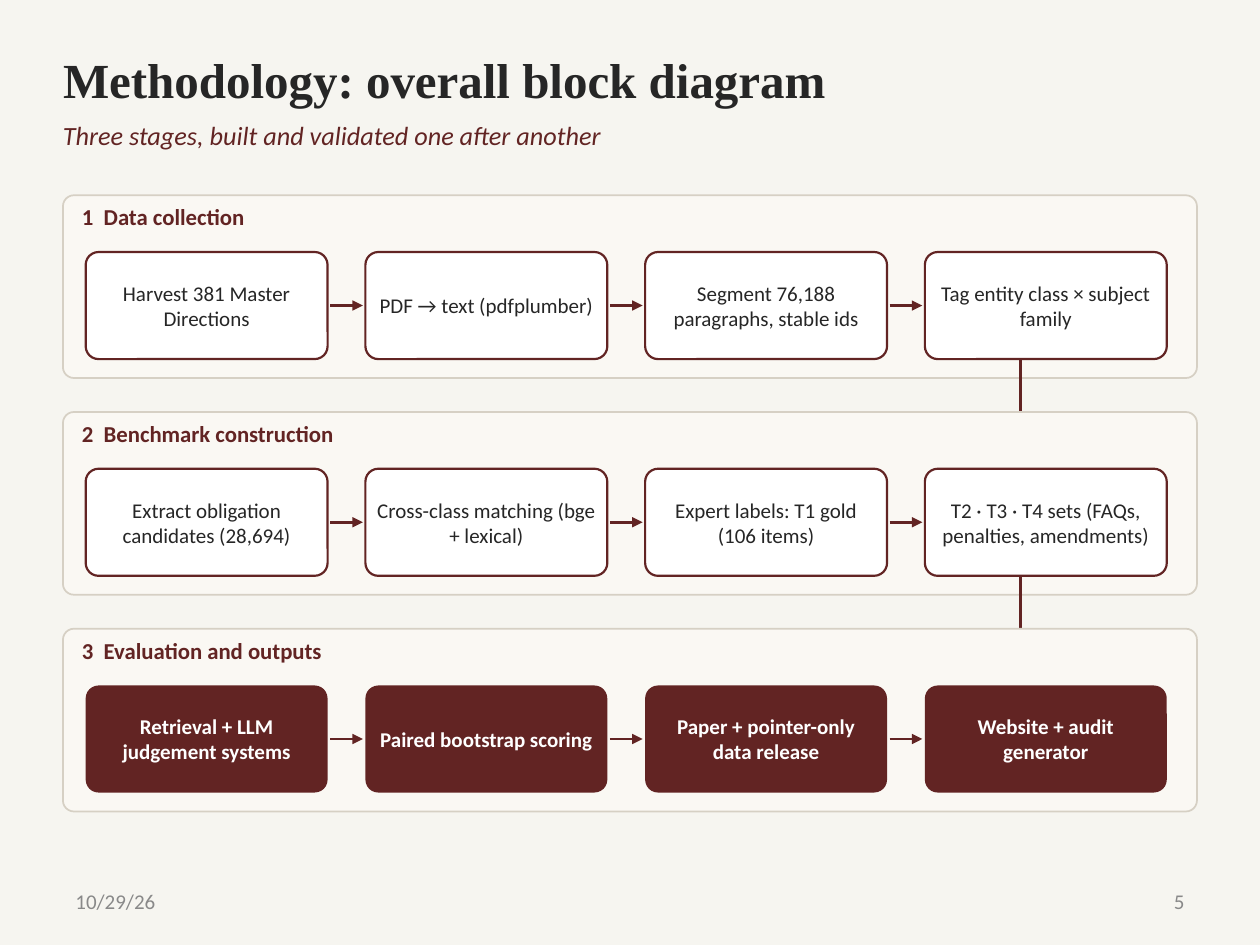
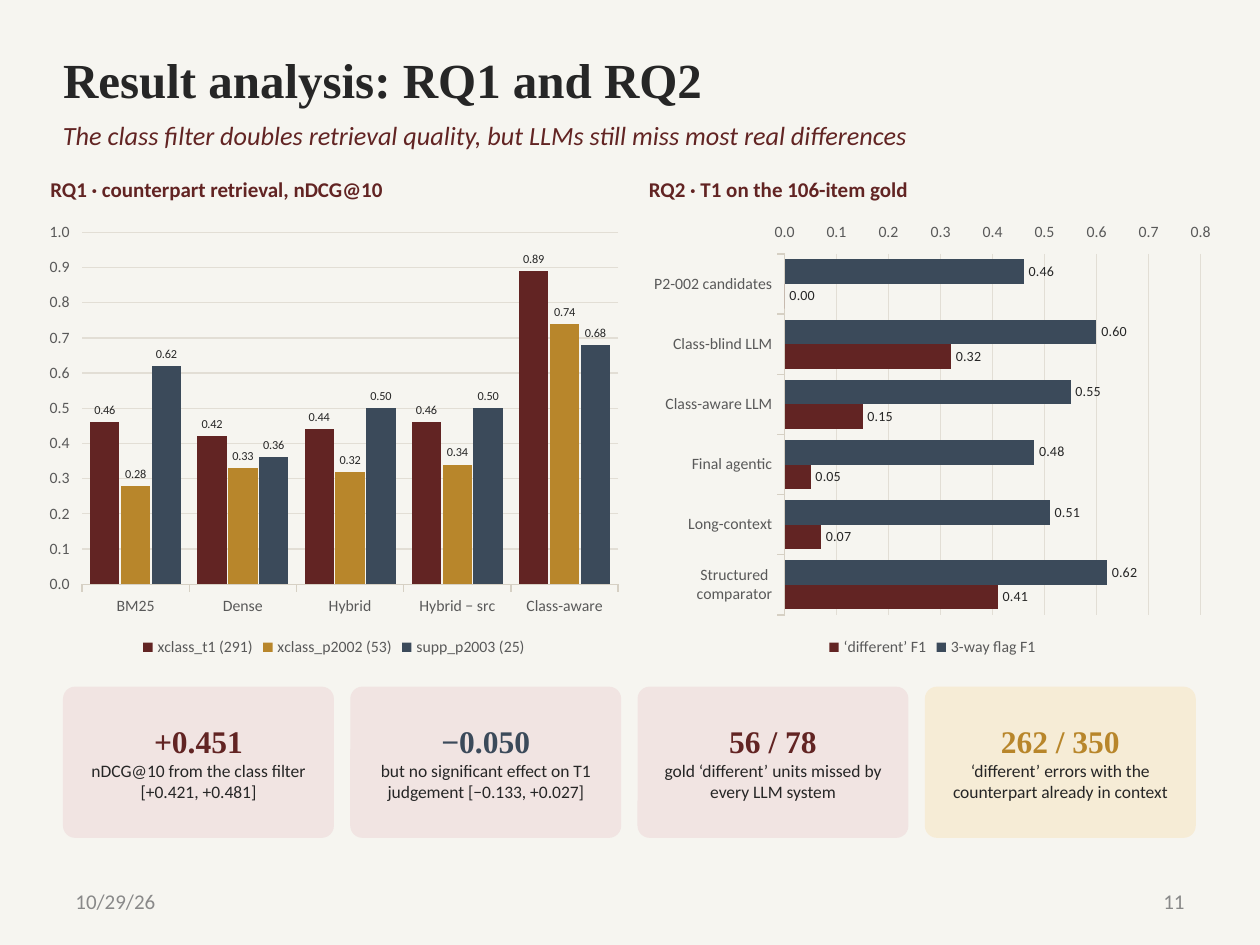
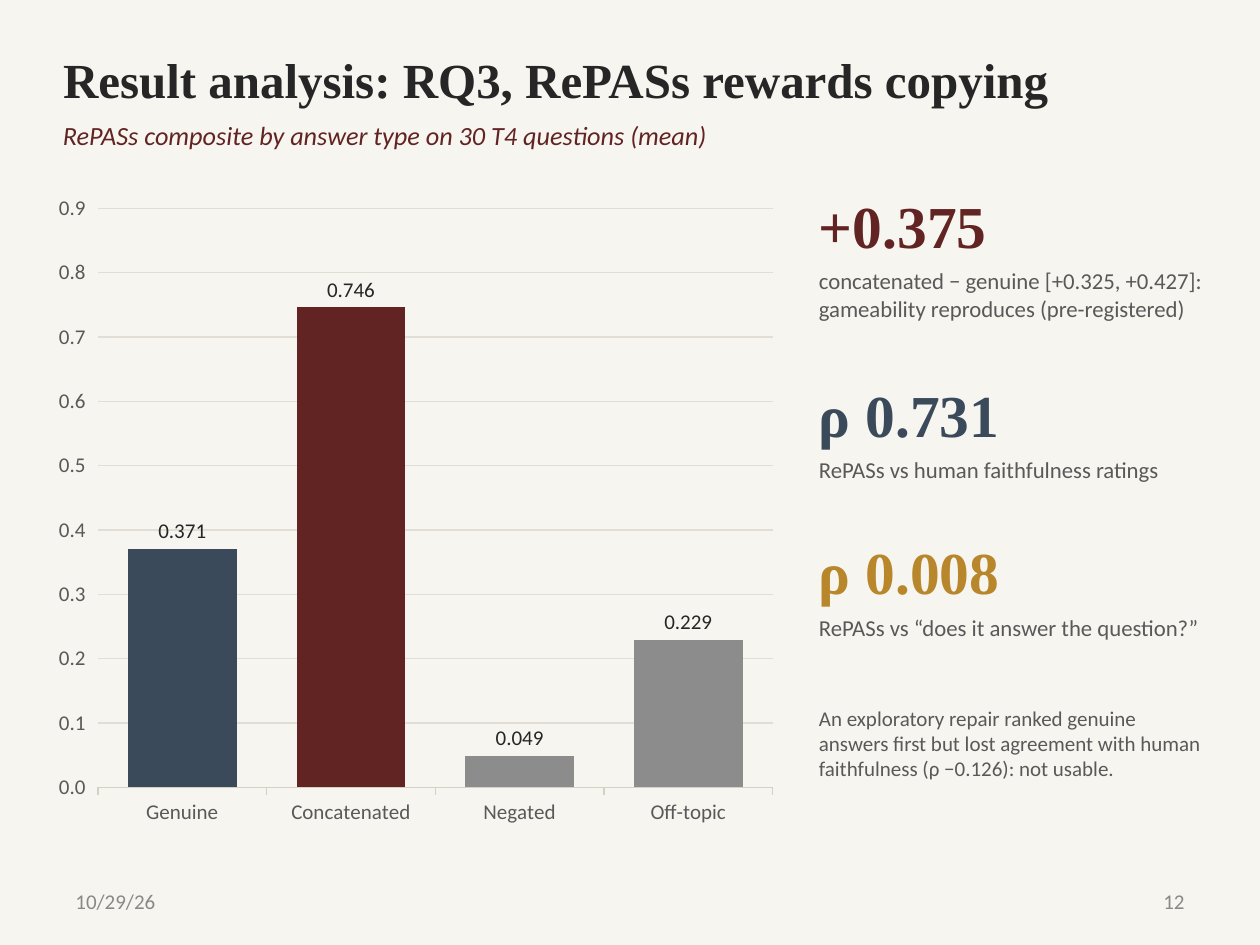
from dataclasses import dataclass
from typing import Any, Optional

from lxml.etree import SubElement
from pptx import Presentation
from pptx.chart.data import CategoryChartData
from pptx.dml.color import RGBColor
from pptx.enum.chart import (XL_CHART_TYPE as ChartType, XL_LABEL_POSITION as LabelPosition,
                             XL_LEGEND_POSITION as LegendPosition,
                             XL_TICK_LABEL_POSITION as TickLabels, XL_TICK_MARK as TickMark)
from pptx.enum.shapes import MSO_CONNECTOR as Connector, MSO_SHAPE as Preset
from pptx.enum.text import MSO_ANCHOR as Anchor, MSO_AUTO_SIZE as AutoSize, PP_ALIGN as Align
from pptx.oxml.ns import qn
from pptx.util import Pt

SANS, SERIF = "Calibri", "Times New Roman"
PAPER, PANEL, WHITE = "F6F5F0", "FAF8F3", "FFFFFF"
INK, TEXT_GRAY, FOOTER_GRAY, BAR_GRAY = "262626", "595959", "898989", "8C8C8C"
MAROON, SLATE, GOLD = "622423", "3B4A5A", "B8862B"
ROSE, CREAM = "F1E4E2", "F6ECD6"
EDGE, GRID = "D6D0C4", "E2DED5"

MARGIN, CONTENT_WIDTH = 36, 648
DATE = "10/29/26"


@dataclass(frozen=True)
class Area:
    left: float
    top: float
    width: float
    height: float

    def lengths(self) -> tuple:
        return Pt(self.left), Pt(self.top), Pt(self.width), Pt(self.height)


@dataclass(frozen=True)
class Stage:
    name: str
    steps: tuple[str, ...]
    solid: bool = False


@dataclass(frozen=True)
class Finding:
    figure: str
    caption: str
    color: str
    fill: str = ROSE


@dataclass(frozen=True)
class Series:
    name: str
    values: tuple[float, ...]
    color: str


@dataclass(frozen=True)
class ChartSpec:
    kind: Any
    categories: tuple[str, ...]
    series: tuple[Series, ...]
    maximum: float
    gap: int
    overlap: int = 0
    size: float = 9
    label_size: float = 7
    label_format: str = "0.00"
    legend: bool = True
    top_down: bool = False
    point_colors: tuple[str, ...] = ()


STAGES = (
    Stage("Data collection", (
        "Harvest 381 Master Directions", "PDF → text (pdfplumber)",
        "Segment 76,188 paragraphs, stable ids", "Tag entity class × subject family")),
    Stage("Benchmark construction", (
        "Extract obligation candidates (28,694)", "Cross-class matching (bge + lexical)",
        "Expert labels: T1 gold (106 items)",
        "T2 · T3 · T4 sets (FAQs, penalties, amendments)")),
    Stage("Evaluation and outputs", (
        "Retrieval + LLM judgement systems", "Paired bootstrap scoring",
        "Paper + pointer-only data release", "Website + audit generator"), solid=True),
)

RETRIEVAL = ChartSpec(
    ChartType.COLUMN_CLUSTERED,
    ("BM25", "Dense", "Hybrid", "Hybrid − src", "Class-aware"),
    (Series("xclass_t1 (291)", (0.46, 0.42, 0.44, 0.46, 0.89), MAROON),
     Series("xclass_p2002 (53)", (0.28, 0.33, 0.32, 0.34, 0.74), GOLD),
     Series("supp_p2003 (25)", (0.62, 0.36, 0.5, 0.5, 0.68), SLATE)),
    maximum=1, gap=55, overlap=-5)

JUDGEMENT = ChartSpec(
    ChartType.BAR_CLUSTERED,
    ("P2-002 candidates", "Class-blind LLM", "Class-aware LLM", "Final agentic",
     "Long-context", "Structured comparator"),
    (Series("3-way flag F1", (0.46, 0.6, 0.55, 0.48, 0.51, 0.62), SLATE),
     Series("‘different’ F1", (0, 0.32, 0.15, 0.05, 0.07, 0.41), MAROON)),
    maximum=0.8, gap=45, label_size=8, top_down=True)

COMPOSITE = ChartSpec(
    ChartType.COLUMN_CLUSTERED,
    ("Genuine", "Concatenated", "Negated", "Off-topic"),
    (Series("Series 1", (0.371, 0.746, 0.049, 0.229), BAR_GRAY),),
    maximum=0.9, gap=55, size=12, label_size=12, label_format="0.000", legend=False,
    point_colors=(SLATE, MAROON, BAR_GRAY, BAR_GRAY))

CARDS = (
    Finding("+0.451", "nDCG@10 from the class filter [+0.421, +0.481]", MAROON),
    Finding("−0.050", "but no significant effect on T1 judgement [−0.133, +0.027]", SLATE),
    Finding("56 / 78", "gold ‘different’ units missed by every LLM system", MAROON),
    Finding("262 / 350", "‘different’ errors with the counterpart already in context",
            GOLD, CREAM),
)

# Each side figure with the top of its text
SIDE_FIGURES = (
    (108, Finding("+0.375", "concatenated − genuine [+0.325, +0.427]: "
                  "gameability reproduces (pre-registered)", MAROON)),
    (216, Finding("ρ 0.731", "RePASs vs human faithfulness ratings", SLATE)),
    (306, Finding("ρ 0.008", "RePASs vs “does it answer the question?”", GOLD)),
)


def rgb(color: str) -> RGBColor:
    return RGBColor.from_string(color)


def paint(fill: Any, color: str) -> None:
    fill.solid()
    fill.fore_color.rgb = rgb(color)


def write(para: Any, text: str, *, size: float, color: str = INK, font: str = SANS,
          bold: bool = False, italic: bool = False, align: Any = Align.LEFT) -> None:
    para.alignment = align
    span = para.add_run()
    span.text = text
    span.font.name, span.font.size = font, Pt(size)
    span.font.bold, span.font.italic = bold, italic
    span.font.color.rgb = rgb(color)


def set_frame(frame: Any, anchor: Any, side: float = 0, ends: float = 0) -> None:
    frame.word_wrap = True
    frame.auto_size = AutoSize.NONE
    frame.vertical_anchor = anchor
    frame.margin_left = frame.margin_right = Pt(side)
    frame.margin_top = frame.margin_bottom = Pt(ends)


def add_text(page: Any, area: Area, text: str, *, anchor: Any = Anchor.TOP, side: float = 0,
             ends: float = 0, **style: Any) -> Any:
    box = page.shapes.add_textbox(*area.lengths())
    set_frame(box.text_frame, anchor, side, ends)
    para = box.text_frame.paragraphs[0]
    write(para, text, **style)
    return para


def add_tab(para: Any, position: float) -> None:
    stops = SubElement(para._p.get_or_add_pPr(), qn("a:tabLst"))
    SubElement(stops, qn("a:tab"), pos=str(Pt(position)), algn="l")


def add_rounded(page: Any, area: Area, radius: float, fill: str,
                edge: Optional[str] = None, weight: float = 1) -> Any:
    box = page.shapes.add_shape(Preset.ROUNDED_RECTANGLE, *area.lengths())
    box.shadow.inherit = False
    box.adjustments[0] = radius
    paint(box.fill, fill)
    if edge:
        box.line.color.rgb = rgb(edge)
        box.line.width = Pt(weight)
    else:
        box.line.fill.background()
    set_frame(box.text_frame, Anchor.MIDDLE, side=4.32, ends=2.16)
    return box


def add_arrow(page: Any, x1: float, y1: float, x2: float, y2: float) -> None:
    arrow = page.shapes.add_connector(Connector.STRAIGHT, Pt(x1), Pt(y1), Pt(x2), Pt(y2))
    arrow.line.color.rgb = rgb(MAROON)
    arrow.line.width = Pt(1.5)
    SubElement(arrow.line._get_or_add_ln(), qn("a:tailEnd"), type="triangle")
    SubElement(arrow._element.spPr, qn("a:effectLst"))


def add_page(deck: Any, title: str, subtitle: str, number: int) -> Any:
    page = deck.slides.add_slide(deck.slide_layouts.get_by_name("Title Only"))
    heading = page.shapes.title
    area = Area(MARGIN, 23, CONTENT_WIDTH, 44.6)
    heading.left, heading.top, heading.width, heading.height = area.lengths()
    set_frame(heading.text_frame, Anchor.MIDDLE, ends=3.6)
    write(heading.text_frame.paragraphs[0], title, size=28, font=SERIF, bold=True)
    add_text(page, Area(MARGIN, 68.4, CONTENT_WIDTH, 30.2), subtitle,
             size=15, color=MAROON, italic=True)
    for left, text, align in ((MARGIN, DATE, Align.LEFT), (516, str(number), Align.RIGHT)):
        add_text(page, Area(left, 500.4, 168, 28.8), text, anchor=Anchor.MIDDLE, side=7.2,
                 ends=3.6, size=12, color=FOOTER_GRAY, align=align)
    return page


def add_bar_chart(page: Any, area: Area, spec: ChartSpec) -> None:
    data = CategoryChartData()
    data.categories = spec.categories
    for series in spec.series:
        data.add_series(series.name, series.values)
    chart = page.shapes.add_chart(spec.kind, *area.lengths(), data).chart
    chart.has_title = False
    chart.font.name, chart.font.size = SANS, Pt(spec.size)
    chart.font.color.rgb = rgb(TEXT_GRAY)
    chart.has_legend = spec.legend
    if spec.legend:
        chart.legend.position = LegendPosition.BOTTOM
        chart.legend.include_in_layout = False
        chart.legend.font.size = Pt(spec.size)

    category_axis, value_axis = chart.category_axis, chart.value_axis
    category_axis.major_tick_mark = value_axis.major_tick_mark = TickMark.OUTSIDE
    category_axis.format.line.color.rgb = rgb(EDGE)
    category_axis.format.line.width = Pt(0.75)
    category_axis.reverse_order = spec.top_down
    if spec.top_down:
        value_axis.tick_label_position = TickLabels.LOW
    value_axis.minimum_scale, value_axis.maximum_scale = 0, spec.maximum
    value_axis.major_unit = 0.1
    value_axis.tick_labels.number_format = "0.0"
    value_axis.tick_labels.number_format_is_linked = False
    value_axis.format.line.fill.background()
    value_axis.major_gridlines.format.line.color.rgb = rgb(GRID)
    value_axis.major_gridlines.format.line.width = Pt(0.75)

    plot = chart.plots[0]
    plot.vary_by_categories = False
    plot.gap_width, plot.overlap = spec.gap, spec.overlap
    for bars, series in zip(plot.series, spec.series):
        paint(bars.format.fill, series.color)
        bars.invert_if_negative = False
        for index, color in enumerate(spec.point_colors):
            paint(bars.points[index].format.fill, color)
        labels = bars.data_labels
        labels.show_value = True
        labels.position = LabelPosition.OUTSIDE_END
        labels.number_format = spec.label_format
        labels.number_format_is_linked = False
        labels.font.size = Pt(spec.label_size)
        labels.font.color.rgb = rgb(INK)


def add_stage(page: Any, number: int, stage: Stage, top: float) -> None:
    add_rounded(page, Area(MARGIN, top, CONTENT_WIDTH, 104.4), 0.06, PANEL, EDGE)
    para = add_text(page, Area(46.8, top + 4.3, 288, 25.2), f"{number}\t{stage.name}",
                    size=13, color=MAROON, bold=True)
    add_tab(para, 12.5)
    width, height, gap, clearance = 138.24, 61.2, 21.6, 1.44
    step_top = top + 32.4
    for index, step in enumerate(stage.steps):
        left = 48.96 + index * (width + gap)
        if index:
            middle = step_top + height / 2
            add_arrow(page, left - gap + clearance, middle, left - clearance, middle)
        box = add_rounded(page, Area(left, step_top, width, height), 0.12,
                          MAROON if stage.solid else WHITE,
                          None if stage.solid else MAROON, 1.25)
        write(box.text_frame.paragraphs[0], step, size=12, bold=stage.solid,
              color=WHITE if stage.solid else INK, align=Align.CENTER)


def build_methodology(deck: Any) -> None:
    page = add_page(deck, "Methodology: overall block diagram",
                    "Three stages, built and validated one after another", 5)
    pitch, link_x = 123.84, 583.2
    for index, stage in enumerate(STAGES):
        top = 111.6 + index * pitch
        if index:
            # The link runs behind this stage's panel
            add_arrow(page, link_x, top - pitch + 93.6, link_x, top + 32.4)
        add_stage(page, index + 1, stage, top)


def build_retrieval_results(deck: Any) -> None:
    page = add_page(
        deck, "Result analysis: RQ1 and RQ2",
        "The class filter doubles retrieval quality, but LLMs still miss most real differences",
        11)
    for label_left, chart_left, chart_width, label, spec in (
            (28.8, 21.6, 338.4, "RQ1 · counterpart retrieval, nDCG@10", RETRIEVAL),
            (370.8, 367.2, 331.2, "RQ2 · T1 on the 106-item gold", JUDGEMENT)):
        add_text(page, Area(label_left, 100.8, 324, 21.6), label,
                 size=12, color=MAROON, bold=True)
        add_bar_chart(page, Area(chart_left, 122.4, chart_width, 255.6), spec)
    for index, card in enumerate(CARDS):
        box = add_rounded(page, Area(MARGIN + index * 164.16, 392.4, 154.8, 86.4),
                          0.08, card.fill)
        frame = box.text_frame
        write(frame.paragraphs[0], card.figure, size=18, font=SERIF, color=card.color,
              bold=True, align=Align.CENTER)
        write(frame.add_paragraph(), card.caption, size=10, align=Align.CENTER)


def build_copying_results(deck: Any) -> None:
    page = add_page(deck, "Result analysis: RQ3, RePASs rewards copying",
                    "RePASs composite by answer type on 30 T4 questions (mean)", 12)
    add_bar_chart(page, Area(25.2, 104.4, 424.8, 374.4), COMPOSITE)
    left, width = 468, 223.2
    for top, finding in SIDE_FIGURES:
        add_text(page, Area(left, top, width, 44.6), finding.figure,
                 size=34, font=SERIF, color=finding.color, bold=True)
        add_text(page, Area(left, top + 44.6, width, 36), finding.caption,
                 size=13, color=TEXT_GRAY)
    add_text(page, Area(left, 403.2, width, 72),
             "An exploratory repair ranked genuine answers first but lost agreement with "
             "human faithfulness (ρ −0.126): not usable.", size=12, color=TEXT_GRAY)


def main() -> None:
    deck = Presentation()
    deck.slide_width, deck.slide_height = Pt(720), Pt(540)
    paint(deck.slide_master.background.fill, PAPER)
    build_methodology(deck)
    build_retrieval_results(deck)
    build_copying_results(deck)
    deck.save("out.pptx")


if __name__ == "__main__":
    main()
